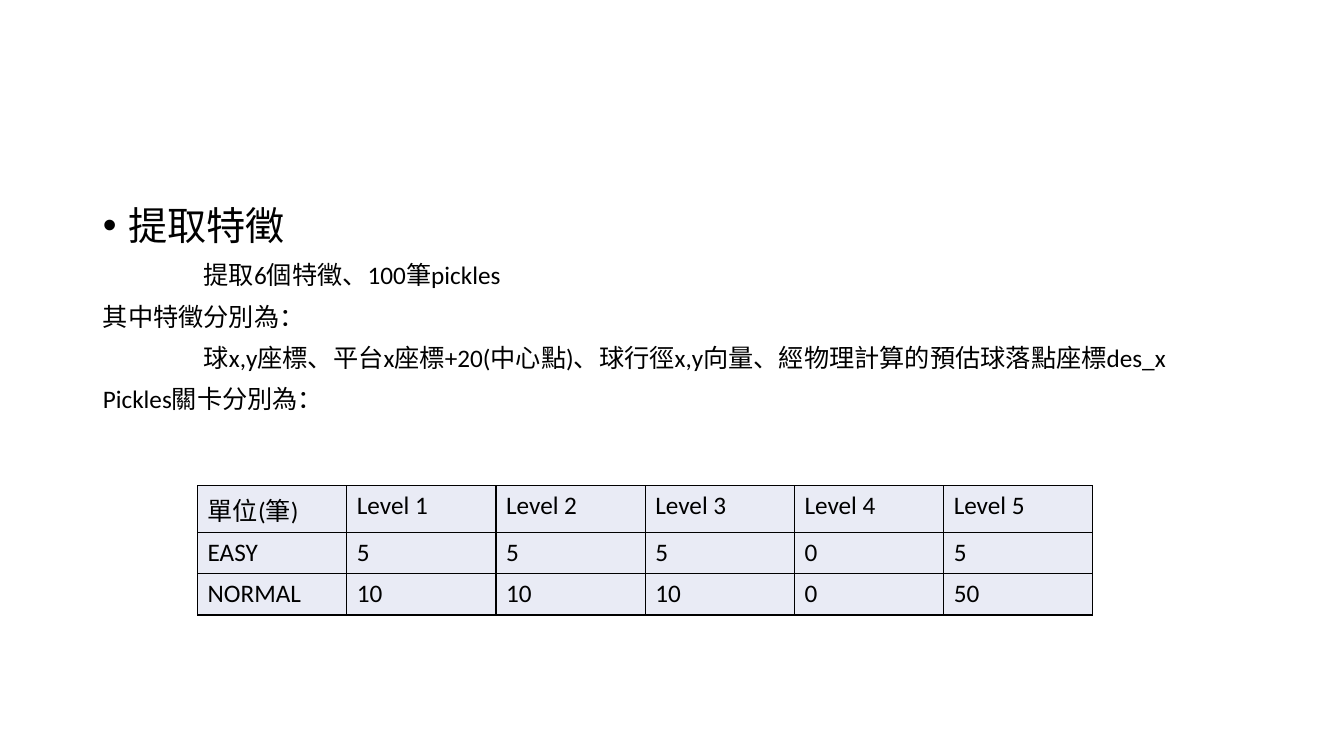
"""Build the slide on extracted features and pickle counts per level."""
from dataclasses import dataclass

from lxml.etree import SubElement
from pptx import Presentation
from pptx.dml.color import RGBColor
from pptx.enum.text import MSO_ANCHOR, MSO_AUTO_SIZE, PP_ALIGN
from pptx.oxml import parse_xml
from pptx.oxml.ns import nsdecls, qn
from pptx.util import Inches, Pt


@dataclass(frozen=True)
class Theme:
    """Colours, font and type sizes of the slide."""
    font: str = "Calibri"
    ink: str = "000000"
    cell_fill: str = "E9EBF5"
    heading_size: int = 28
    text_size: int = 18
    border_width: int = 1


class SlideBuilder:
    """Hold the theme and the current slide, and add elements to it."""

    def __init__(self, slide, theme):
        """Keep the slide and its theme."""
        self.slide = slide
        self.theme = theme

    def add_run(self, paragraph, text, size):
        """Add one styled run to a paragraph."""
        run = paragraph.add_run()
        run.text = text
        run.font.name = self.theme.font
        run.font.size = Pt(size)
        run.font.color.rgb = RGBColor.from_string(self.theme.ink)

    def add_line(self, paragraph, text, size, margin=0, indent=0, bullet=None):
        """Fill one body paragraph with its spacing, indent and bullet."""
        paragraph.alignment = PP_ALIGN.LEFT
        paragraph.line_spacing = 0.9
        paragraph.space_before = Pt(10)
        properties = paragraph._p.get_or_add_pPr()
        properties.set("marL", str(Inches(margin)))
        properties.set("indent", str(Inches(indent)))
        if bullet:
            SubElement(properties, qn("a:buFont"), typeface="Arial")
            SubElement(properties, qn("a:buChar"), char=bullet)
        else:
            SubElement(properties, qn("a:buNone"))
        self.add_run(paragraph, text, size)

    def fill_body(self, heading, lines, left, top, width, height):
        """Place the body placeholder and write its heading and lines."""
        body = self.slide.placeholders[1]
        body.left, body.top = Inches(left), Inches(top)
        body.width, body.height = Inches(width), Inches(height)
        frame = body.text_frame
        frame.word_wrap = True
        frame.auto_size = MSO_AUTO_SIZE.NONE
        frame.vertical_anchor = MSO_ANCHOR.TOP
        self.add_line(frame.paragraphs[0], heading, self.theme.heading_size,
                      margin=0.25, indent=-0.25, bullet="•")
        for text, indent in lines:
            self.add_line(frame.add_paragraph(), text, self.theme.text_size,
                          indent=indent)

    def add_borders(self, cell):
        """Draw a solid line on each side of a cell."""
        properties = cell._tc.get_or_add_tcPr()
        for position, side in enumerate(("lnL", "lnR", "lnT", "lnB")):
            properties.insert(position, parse_xml(
                f'<a:{side} {nsdecls("a")} w="{Pt(self.theme.border_width)}">'
                f'<a:solidFill><a:srgbClr val="{self.theme.ink}"/></a:solidFill>'
                f'</a:{side}>'))

    def add_table(self, records, left, top, column_width, row_height):
        """Add a bordered table of equal columns and rows."""
        rows, columns = len(records), len(records[0])
        table = self.slide.shapes.add_table(
            rows, columns, Inches(left), Inches(top),
            Inches(column_width * columns), Inches(row_height * rows)).table
        table.first_row = False
        table.horz_banding = False
        for row, record in enumerate(records):
            for column, value in enumerate(record):
                cell = table.cell(row, column)
                cell.fill.solid()
                cell.fill.fore_color.rgb = RGBColor.from_string(self.theme.cell_fill)
                self.add_borders(cell)
                self.add_run(cell.text_frame.paragraphs[0], str(value),
                             self.theme.text_size)


def main():
    """Create the presentation and save it."""
    presentation = Presentation()
    presentation.slide_width = Inches(13.33)
    presentation.slide_height = Inches(7.5)
    slide = presentation.slides.add_slide(presentation.slide_layouts[1])
    unused_title = slide.shapes.title.element
    unused_title.getparent().remove(unused_title)

    builder = SlideBuilder(slide, Theme())
    features = [
        ("提取6個特徵、100筆pickles", 1),
        ("其中特徵分別為：", 0),
        ("球x,y座標、平台x座標+20(中心點)、球行徑x,y向量、"
         "經物理計算的預估球落點座標des_x", 1),
        ("Pickles關卡分別為：", 0),
    ]
    builder.fill_body("提取特徵", features, 0.92, 2, 11.5, 4.76)

    pickle_counts = [
        ["單位(筆)"] + [f"Level {level}" for level in range(1, 6)],
        ["EASY", 5, 5, 5, 0, 5],
        ["NORMAL", 10, 10, 10, 0, 50],
    ]
    builder.add_table(pickle_counts, 1.96, 4.82, 1.48, 0.41)
    presentation.save("out.pptx")


if __name__ == "__main__":
    main()
